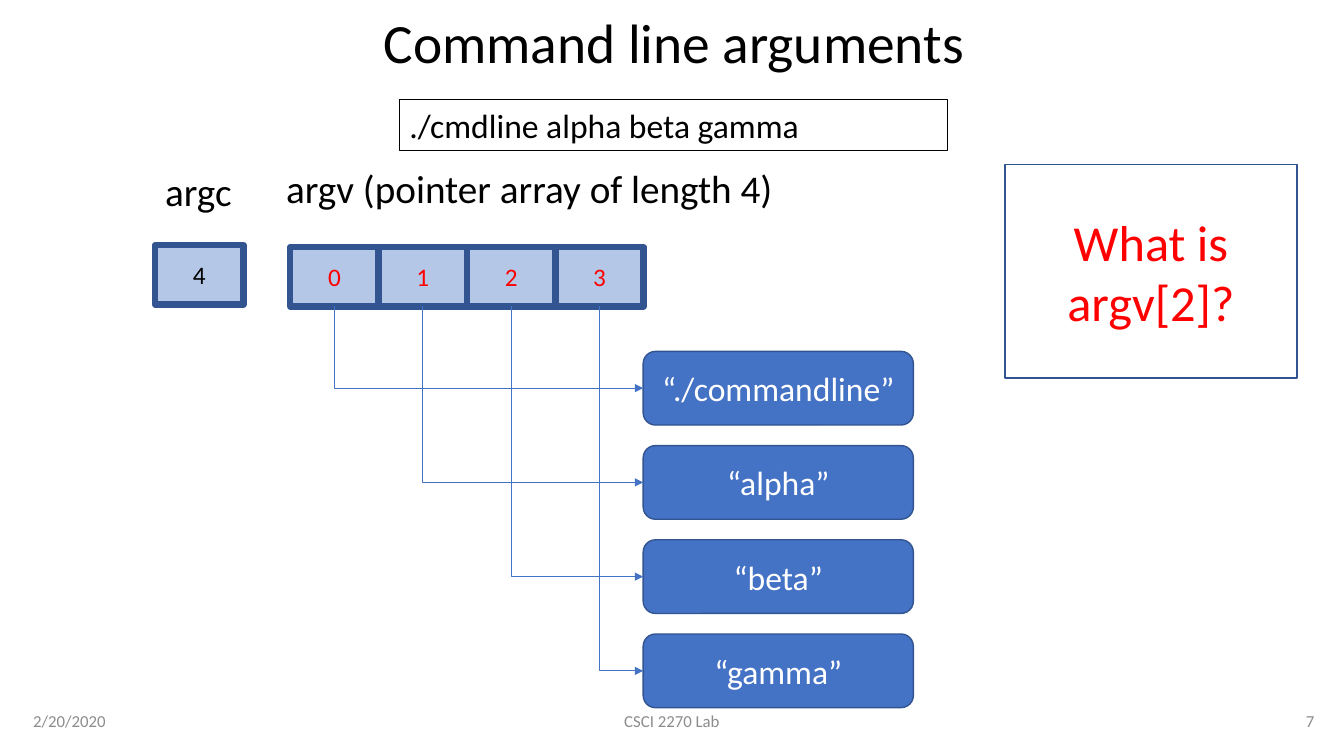
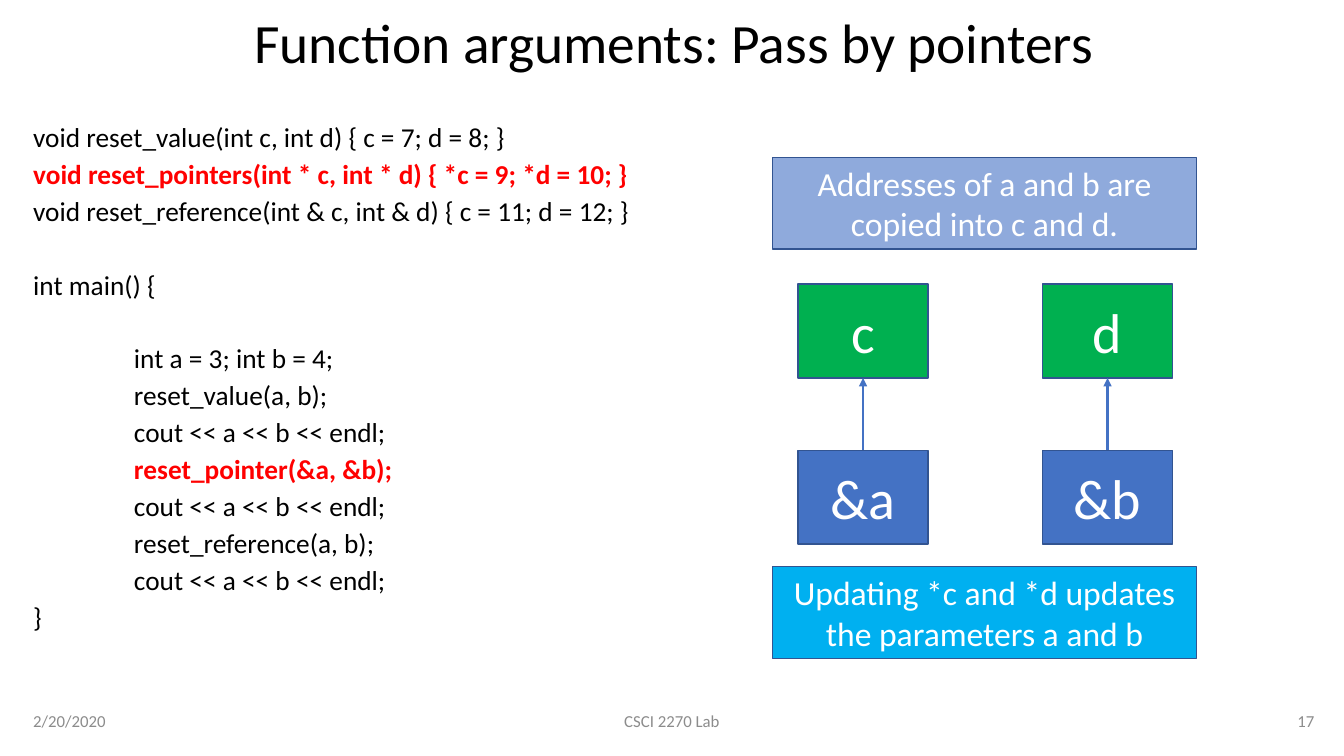
from lxml import etree
from pptx import Presentation
from pptx.dml.color import RGBColor
from pptx.enum.shapes import MSO_CONNECTOR, MSO_SHAPE
from pptx.enum.text import MSO_ANCHOR, PP_ALIGN
from pptx.oxml.ns import qn
from pptx.util import Pt

RECT, ROUNDED = MSO_SHAPE.RECTANGLE, MSO_SHAPE.ROUNDED_RECTANGLE
STRAIGHT, ELBOW = MSO_CONNECTOR.STRAIGHT, MSO_CONNECTOR.ELBOW
TOP, MIDDLE = MSO_ANCHOR.TOP, MSO_ANCHOR.MIDDLE
LEFT, CENTER, RIGHT = PP_ALIGN.LEFT, PP_ALIGN.CENTER, PP_ALIGN.RIGHT
SITE_TOP, SITE_LEFT, SITE_BOTTOM = 0, 1, 2

BLACK = RGBColor(0x00, 0x00, 0x00)
WHITE = RGBColor(0xFF, 0xFF, 0xFF)
RED = RGBColor(0xFF, 0x00, 0x00)
GREY = RGBColor(0x8C, 0x8C, 0x8C)
BLUE = RGBColor(0x44, 0x72, 0xC4)
NAVY = RGBColor(0x32, 0x54, 0x91)
PALE = RGBColor(0xB4, 0xC7, 0xE7)
SOFT = RGBColor(0x8F, 0xAA, 0xDC)
SKY = RGBColor(0x00, 0xB0, 0xF0)
GREEN = RGBColor(0x00, 0xB0, 0x50)

FONT = "Calibri"
DATE, COURSE = "2/20/2020", "CSCI 2270 Lab"

COMMAND = "./cmdline alpha beta gamma"
QUESTION = "What is argv[2]?"
ARGUMENTS = ["“./commandline”", "“alpha”", "“beta”", "“gamma”"]

CODE_SIZE, CODE_PITCH, TAB = 19.5, 26.35, 72
CODE = [
    {"text": "void reset_value(int c, int d) { c = 7; d = 8; }"},
    {"text": "void reset_pointers(int * c, int * d) { *c = 9; *d = 10; }", "hot": True},
    {"text": "void reset_reference(int & c, int & d) { c = 11; d = 12; }"},
    {"text": "int main() {", "gap": 1},
    {"text": "int a = 3; int b = 4;", "tabs": 1, "gap": 1},
    {"text": "reset_value(a, b);", "tabs": 1},
    {"text": "cout << a << b << endl;", "tabs": 1},
    {"text": "reset_pointer(&a, &b);", "tabs": 1, "hot": True},
    {"text": "cout << a << b << endl;", "tabs": 1},
    {"text": "reset_reference(a, b);", "tabs": 1},
    {"text": "cout << a << b << endl;", "tabs": 1},
    {"text": "}"},
]
PASSES = [("c", "&a"), ("d", "&b")]
NOTES = [
    ("Addresses of a and b are copied into c and d.", 112.3, SOFT),
    ("Updating *c and *d updates the parameters a and b", 404.7, SKY),
]


def write(p, text, size, color, align=LEFT, bold=False):
    p.alignment = align
    r = p.add_run()
    r.text = text
    for name, value in {"name": FONT, "size": Pt(size), "bold": bold}.items():
        setattr(r.font, name, value)
    r.font.color.rgb = color


def frame(sp, anchor):
    tf = sp.text_frame
    tf.word_wrap = True
    tf.vertical_anchor = anchor
    return tf


def add_label(s, text, at, size, color=BLACK, align=LEFT, anchor=TOP):
    sp = s.shapes.add_textbox(*map(Pt, at))
    p = frame(sp, anchor).paragraphs[0]
    write(p, text, size, color, align)
    return sp


def add_box(s, text, at, size, color=WHITE, fill=BLUE, weight=1, kind=RECT):
    sp = s.shapes.add_shape(kind, *map(Pt, at))
    sp.shadow.inherit = False
    if fill is None:
        sp.fill.background()
    else:
        sp.fill.solid()
        sp.fill.fore_color.rgb = fill
    sp.line.color.rgb = NAVY
    sp.line.width = Pt(weight)
    write(frame(sp, MIDDLE).paragraphs[0], text, size, color, CENTER)
    return sp


def add_arrow(s, kind, target, target_site, source, source_site, weight):
    cx = s.shapes.add_connector(kind, 0, 0, 0, 0)
    cx.begin_connect(target, target_site)
    cx.end_connect(source, source_site)
    cx.line.color.rgb = BLUE
    cx.line.width = Pt(weight)
    pr = cx._element.spPr
    if kind == ELBOW:
        pr.find(qn("a:prstGeom")).set("prst", "bentConnector2")
    etree.SubElement(pr.find(qn("a:ln")), qn("a:headEnd"), type="triangle")
    etree.SubElement(pr, qn("a:effectLst"))


def add_slide(prs, title, number):
    s = prs.slides.add_slide(prs.slide_layouts[6])
    sp = add_label(s, title, (16.6, 10.8, 929.5, 43.2), 39.6, align=CENTER, anchor=MIDDLE)
    sp.text_frame.paragraphs[0].line_spacing = 0.9
    for text, x, w, align in [(DATE, 16.6, 216, LEFT), (COURSE, 318, 324, CENTER),
                              (number, 730, 216, RIGHT)]:
        add_label(s, text, (x, 500.4, w, 28.8), 12, GREY, align, MIDDLE)
    return s


def command_line_slide(prs):
    s = add_slide(prs, "Command line arguments", "7")
    sp = add_label(s, COMMAND, (285.3, 71.2, 391.5, 36.4), 24)
    sp.line.color.rgb = BLACK
    sp.line.width = Pt(0.75)
    add_label(s, "argc", (110.8, 116, 70, 42.5), 28)
    add_label(s, "argv (pointer array of length 4)", (197.3, 113.8, 373.7, 41), 28)
    cell = {"size": 18, "fill": PALE, "weight": 4.5}
    add_box(s, str(len(ARGUMENTS)), (110.8, 175, 63.1, 42.5), color=BLACK, **cell)
    cells = [add_box(s, str(i), (207.4 + 63.1 * i, 176.4, 63.1, 42.5), color=RED, **cell)
             for i in range(len(ARGUMENTS))]
    values = [add_box(s, text, (459.4, 251 + 67.3 * i, 193, 52.6), 24, kind=ROUNDED)
              for i, text in enumerate(ARGUMENTS)]
    for pointer, value in zip(cells, values):
        add_arrow(s, ELBOW, value, SITE_LEFT, pointer, SITE_BOTTOM, 0.5)
    add_box(s, QUESTION, (717.8, 117.4, 208.8, 152.6), 36, RED, None)


def pointers_slide(prs):
    s = add_slide(prs, "Function arguments: Pass by pointers", "17")
    sp = s.shapes.add_textbox(*map(Pt, (16.6, 79.3, 520, 385)))
    tf = frame(sp, TOP)
    for i, line in enumerate(CODE):
        p = tf.add_paragraph() if i else tf.paragraphs[0]
        hot = line.get("hot", False)
        write(p, line["text"], CODE_SIZE, RED if hot else BLACK, bold=hot)
        p.line_spacing = Pt(CODE_PITCH)
        p.space_before = Pt(CODE_PITCH * line.get("gap", 0))
        p._p.get_or_add_pPr().set("marL", str(Pt(TAB * line.get("tabs", 0))))
    for i, (parameter, address) in enumerate(PASSES):
        x = 570 + 174.6 * i
        target = add_box(s, parameter, (x, 203, 93, 67), 40, fill=GREEN)
        source = add_box(s, address, (x, 321.7, 93, 67), 40)
        add_arrow(s, STRAIGHT, target, SITE_BOTTOM, source, SITE_TOP, 1.5)
    for text, y, fill in NOTES:
        add_box(s, text, (552, y, 302.5, 65.5), 24, fill=fill)


def main():
    prs = Presentation()
    prs.slide_width, prs.slide_height = Pt(960), Pt(540)
    command_line_slide(prs)
    pointers_slide(prs)
    prs.save("out.pptx")


if __name__ == "__main__":
    main()
